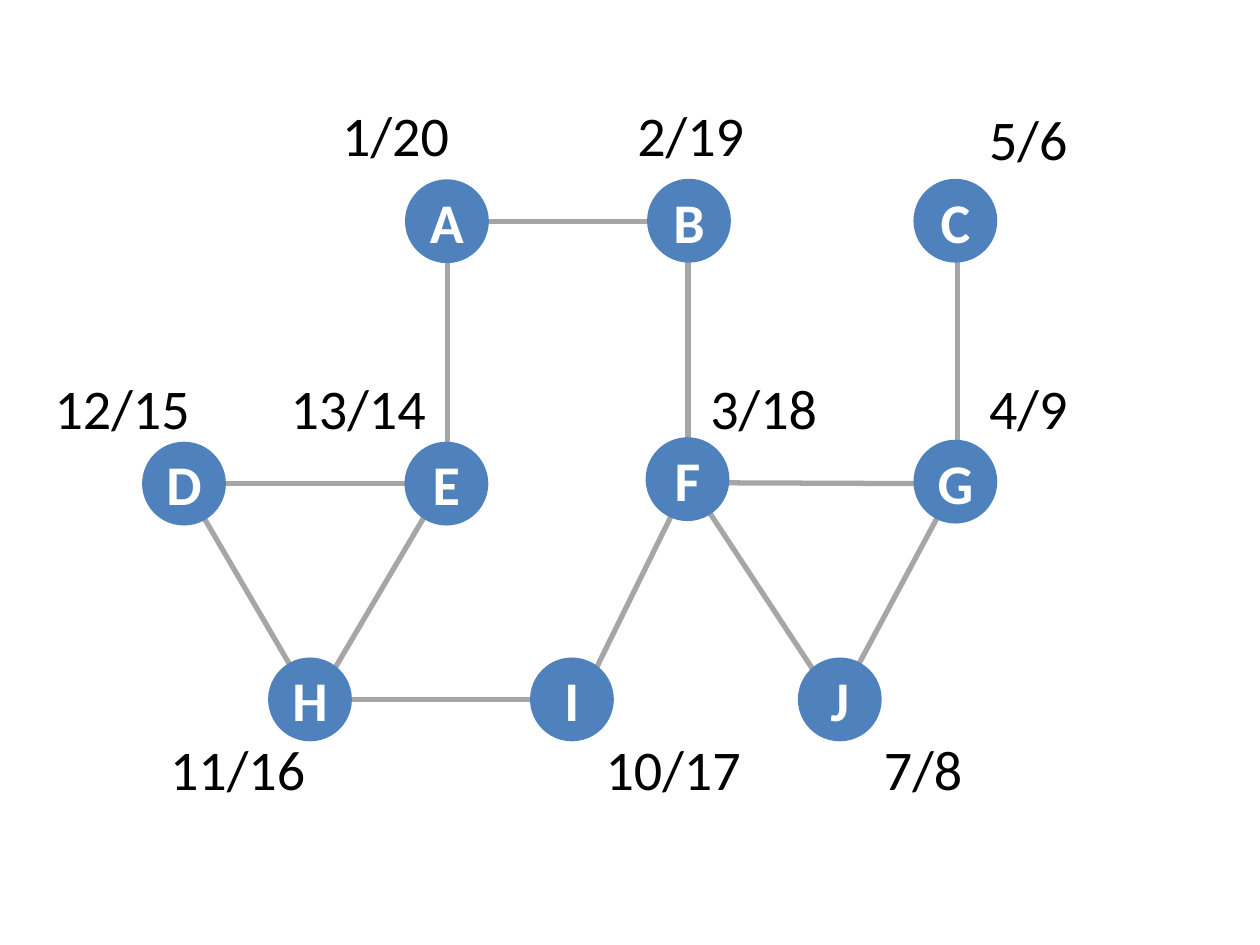
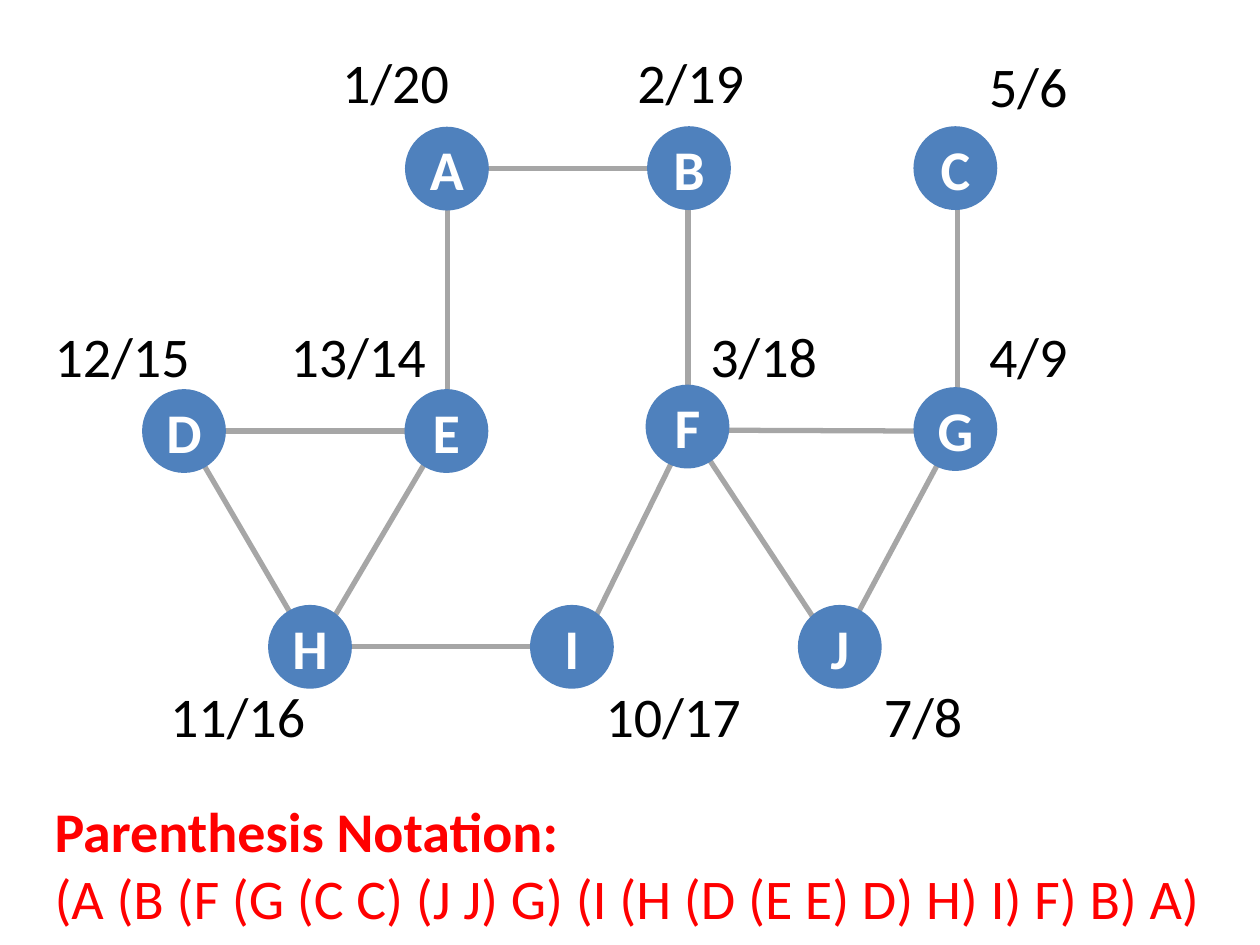
from dataclasses import dataclass

from lxml import etree
from pptx import Presentation
from pptx.dml.color import RGBColor
from pptx.enum.shapes import MSO_CONNECTOR, MSO_SHAPE
from pptx.enum.text import MSO_ANCHOR, MSO_AUTO_SIZE, PP_ALIGN
from pptx.oxml.ns import qn
from pptx.util import Cm, Pt

STRAIGHT = MSO_CONNECTOR.STRAIGHT
ELLIPSE = MSO_SHAPE.OVAL
MIDDLE = MSO_ANCHOR.MIDDLE
GROW = MSO_AUTO_SIZE.SHAPE_TO_FIT_TEXT
CENTER, LEFT = PP_ALIGN.CENTER, PP_ALIGN.LEFT

NODE_BLUE = RGBColor(0x4F, 0x81, 0xBD)
EDGE_GREY = RGBColor(0xA6, 0xA6, 0xA6)
NOTATION_RED = RGBColor(0xFF, 0x00, 0x00)
WHITE = RGBColor(0xFF, 0xFF, 0xFF)
BLACK = RGBColor(0x00, 0x00, 0x00)

FONT = "Calibri"
FONT_SIZE = Pt(32)
EDGE_WIDTH = Pt(3)

# All coordinates below are centimetres.
NODE_SIZE = 1.69
LABEL_HEIGHT = 1.63
SHORT_LABEL, LONG_LABEL = 2.84, 3.53
TOP_LABELS, MIDDLE_LABELS, BOTTOM_LABELS = 1.9, 7.41, 14.68
MARGIN = 0.85
RAISED = -1.06  # makes room for the notation below the graph


@dataclass(frozen=True)
class Node:
    """A vertex by its centre, with its discovery/finish times beside it."""
    x: float
    y: float
    times: str
    times_left: float
    times_top: float


@dataclass(frozen=True)
class Edge:
    """A line between two nodes; each nudge moves its end off the centre."""
    start: str
    end: str
    start_nudge: tuple[float, float] = (0, 0)
    end_nudge: tuple[float, float] = (0, 0)


NODES = {
    "A": Node(9.01, 4.46, "1/20", 6.65, TOP_LABELS),
    "B": Node(13.89, 4.45, "2/19", 12.6, TOP_LABELS),
    "F": Node(13.86, 9.66, "3/18", 14.07, MIDDLE_LABELS),
    "G": Node(19.26, 9.71, "4/9", 19.69, MIDDLE_LABELS),
    "C": Node(19.26, 4.45, "5/6", 19.69, TOP_LABELS + 0.08),
    "J": Node(16.93, 14.1, "7/8", 17.57, BOTTOM_LABELS),
    "I": Node(11.53, 14.1, "10/17", 11.96, BOTTOM_LABELS),
    "H": Node(6.25, 14.1, "11/16", 3.18, BOTTOM_LABELS),
    "D": Node(3.71, 9.75, "12/15", MARGIN, MIDDLE_LABELS),
    "E": Node(9.0, 9.75, "13/14", 5.61, MIDDLE_LABELS),
}

EDGES = [
    Edge("A", "E", (0.01, 0.2), (0.02, 0.1)),
    Edge("D", "H"),
    Edge("A", "B", (-0.32, 0), (0.08, 0.01)),
    Edge("C", "G", (0.04, -0.08), (0.04, -0.06)),
    Edge("F", "J", end_nudge=(0, 0.22)),
    Edge("D", "E", (0.07, 0), (0.09, 0)),
    Edge("B", "F", (-0.02, 0), (0.01, 0)),
    Edge("G", "F", (-0.41, 0.04), (0, 0.07)),
    Edge("G", "J", (0, 0.04)),
    Edge("F", "I", (0, 0.07), (0.18, 0)),
    Edge("H", "I", (0.2, 0), (0.2, 0)),
    Edge("E", "H", (-0.16, 0.18), (0, 0.22)),
]


def write_text(paragraph, text: str, *, color: RGBColor = BLACK,
               bold: bool = False, align=LEFT) -> None:
    paragraph.alignment = align
    run = paragraph.add_run()
    run.text = text
    run.font.name = FONT
    run.font.size = FONT_SIZE
    run.font.bold = bold
    run.font.color.rgb = color


def add_text_frame(slide, left: float, top: float, width: float, height: float):
    """Add a wrapping text box that grows with its text; return its frame."""
    box = slide.shapes.add_textbox(Cm(left), Cm(top), Cm(width), Cm(height))
    frame = box.text_frame
    frame.word_wrap = True
    frame.auto_size = GROW
    return frame


def draw_edge(slide, edge: Edge, shift: float) -> None:
    ends = []
    for letter, (dx, dy) in ((edge.start, edge.start_nudge), (edge.end, edge.end_nudge)):
        node = NODES[letter]
        ends += [Cm(node.x + dx), Cm(node.y + dy + shift)]
    connector = slide.shapes.add_connector(STRAIGHT, *ends)
    connector.line.color.rgb = EDGE_GREY
    connector.line.width = EDGE_WIDTH
    etree.SubElement(connector._element.spPr, qn("a:effectLst"))


def draw_node(slide, letter: str, node: Node, shift: float) -> None:
    circle = slide.shapes.add_shape(
        ELLIPSE, Cm(node.x - NODE_SIZE / 2), Cm(node.y - NODE_SIZE / 2 + shift),
        Cm(NODE_SIZE), Cm(NODE_SIZE))
    circle.shadow.inherit = False
    circle.fill.solid()
    circle.fill.fore_color.rgb = NODE_BLUE
    circle.line.fill.background()
    frame = circle.text_frame
    frame.margin_left = frame.margin_right = frame.margin_top = frame.margin_bottom = 0
    frame.word_wrap = False
    frame.vertical_anchor = MIDDLE
    write_text(frame.paragraphs[0], letter, color=WHITE, bold=True, align=CENTER)


def draw_times(slide, node: Node, shift: float) -> None:
    width = LONG_LABEL if len(node.times) > 4 else SHORT_LABEL
    frame = add_text_frame(slide, node.times_left, node.times_top + shift,
                           width, LABEL_HEIGHT)
    write_text(frame.paragraphs[0], node.times)


def draw_graph(slide, shift: float = 0) -> None:
    """Draw the depth-first search graph, moved down by shift."""
    for edge in EDGES:
        draw_edge(slide, edge, shift)
    for letter, node in NODES.items():
        draw_node(slide, letter, node, shift)
    for node in NODES.values():
        draw_times(slide, node, shift)


def draw_notation(slide) -> None:
    frame = add_text_frame(slide, MARGIN, 15.93, 24.55, 3)
    write_text(frame.paragraphs[0], "Parenthesis Notation:",
               color=NOTATION_RED, bold=True)
    write_text(frame.add_paragraph(),
               "(A (B (F (G (C C) (J J) G) (I (H (D (E E) D) H) I) F) B) A)",
               color=NOTATION_RED)


def main() -> None:
    deck = Presentation()
    deck.slide_width, deck.slide_height = Cm(25.4), Cm(19.05)
    blank = deck.slide_layouts[6]

    draw_graph(deck.slides.add_slide(blank))

    notation_slide = deck.slides.add_slide(blank)
    draw_graph(notation_slide, RAISED)
    draw_notation(notation_slide)

    deck.save("out.pptx")


if __name__ == "__main__":
    main()
